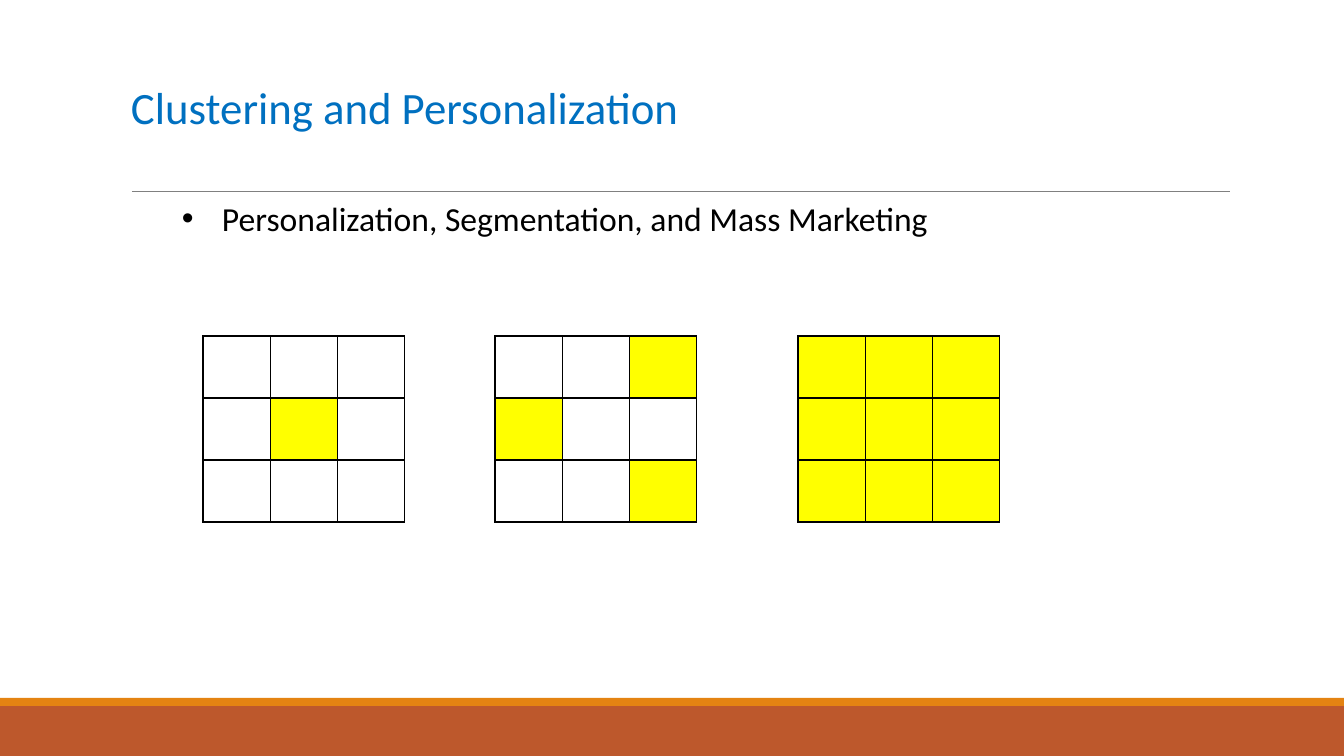
import dataclasses

import lxml.etree
import pptx
import pptx.dml.color
import pptx.enum.shapes
import pptx.enum.text
import pptx.oxml.ns
import pptx.util

PAGE_WIDTH, PAGE_HEIGHT = 1344, 756
SCALE = 12192000 / PAGE_WIDTH  # EMU per px
FONT = "Calibri"
COLOURS = {
    "footer": "BD582C",
    "stripe": "E48312",
    "rule": "808080",
    "title": "0070C0",
    "ink": "000000",
    "target": "FFFF00",
}
GRID_TOP, GRID_WIDTH, GRID_HEIGHT = 336, 202, 186
GRID_SIZE = 3


@dataclasses.dataclass(frozen=True)
class Band:
    top: int
    height: int
    colour: str


@dataclasses.dataclass(frozen=True)
class TextBlock:
    text: str
    top: int
    height: int
    size: int
    colour: str
    anchor: pptx.enum.text.MSO_ANCHOR
    side_inset: int
    line_spacing: float
    bulleted: bool


@dataclasses.dataclass(frozen=True)
class MarketGrid:
    left: int
    pattern: tuple[str, ...]  # "#" marks a targeted cell


BANDS = [Band(706, 50, "footer"), Band(698, 8, "stripe")]
TEXTS = [
    TextBlock("Clustering and Personalization", 31, 160, 32, "title",
              pptx.enum.text.MSO_ANCHOR.MIDDLE, 10, 0.85, False),
    TextBlock("Personalization, Segmentation, and Mass Marketing", 193, 60, 24, "ink",
              pptx.enum.text.MSO_ANCHOR.TOP, 0, 1.0, True),
]
GRIDS = [
    MarketGrid(203, ("...", ".#.", "...")),
    MarketGrid(495, ("..#", "#..", "..#")),
    MarketGrid(798, ("###", "###", "###")),
]


def px(length: int) -> pptx.util.Emu:
    return pptx.util.Emu(round(length * SCALE))


def colour(name: str) -> pptx.dml.color.RGBColor:
    return pptx.dml.color.RGBColor.from_string(COLOURS[name])


def add_child(parent, tag: str, **attributes: str):
    return lxml.etree.SubElement(parent, pptx.oxml.ns.qn(tag), **attributes)


def draw_band(page, band: Band) -> None:
    box = page.shapes.add_shape(pptx.enum.shapes.MSO_SHAPE.RECTANGLE,
                                0, px(band.top), px(PAGE_WIDTH), px(band.height))
    box.shadow.inherit = False
    box.fill.solid()
    box.fill.fore_color.rgb = colour(band.colour)
    box.line.fill.background()


def draw_rule(page) -> None:
    rule = page.shapes.add_connector(pptx.enum.shapes.MSO_CONNECTOR.STRAIGHT,
                                     px(132), px(191), px(1230), px(191))
    rule.line.color.rgb = colour("rule")
    rule.line.width = pptx.util.Pt(0.5)
    add_child(rule._element.spPr, "a:effectLst")


def draw_text(page, block: TextBlock) -> None:
    box = page.shapes.add_textbox(px(121), px(block.top), px(1109), px(block.height))
    frame = box.text_frame
    frame.word_wrap = True
    frame.vertical_anchor = block.anchor
    frame.margin_left = frame.margin_right = px(block.side_inset)
    para = frame.paragraphs[0]
    para.line_spacing = block.line_spacing
    if block.bulleted:
        properties = para._p.get_or_add_pPr()
        properties.set("marL", str(px(101)))
        properties.set("indent", str(px(-40)))
        add_child(properties, "a:buFont", typeface="Arial")
        add_child(properties, "a:buChar", char="•")
    span = para.add_run()
    span.text = block.text
    span.font.name = FONT
    span.font.size = pptx.util.Pt(block.size)
    span.font.color.rgb = colour(block.colour)


def draw_borders(cell) -> None:
    properties = cell._tc.get_or_add_tcPr()
    for side in ("a:lnL", "a:lnR", "a:lnT", "a:lnB"):
        line = add_child(properties, side, w=str(pptx.util.Pt(1)))
        fill = add_child(line, "a:solidFill")
        add_child(fill, "a:srgbClr", val=COLOURS["ink"])


def draw_grid(page, grid: MarketGrid) -> None:
    table = page.shapes.add_table(GRID_SIZE, GRID_SIZE, px(grid.left), px(GRID_TOP),
                                  px(GRID_WIDTH), px(GRID_HEIGHT)).table
    table.first_row = table.horz_banding = False
    for row, marks in enumerate(grid.pattern):
        for column, mark in enumerate(marks):
            cell = table.cell(row, column)
            draw_borders(cell)
            if mark == "#":
                cell.fill.solid()
                cell.fill.fore_color.rgb = colour("target")
            else:
                cell.fill.background()


def main() -> None:
    deck = pptx.Presentation()
    deck.slide_width, deck.slide_height = px(PAGE_WIDTH), px(PAGE_HEIGHT)
    page = deck.slides.add_slide(deck.slide_layouts[6])

    # Footer bands and title rule
    for band in BANDS:
        draw_band(page, band)
    draw_rule(page)

    # Title and bullet
    for block in TEXTS:
        draw_text(page, block)

    # Personalization, segmentation and mass marketing grids
    for grid in GRIDS:
        draw_grid(page, grid)

    deck.save("out.pptx")


if __name__ == "__main__":
    main()
